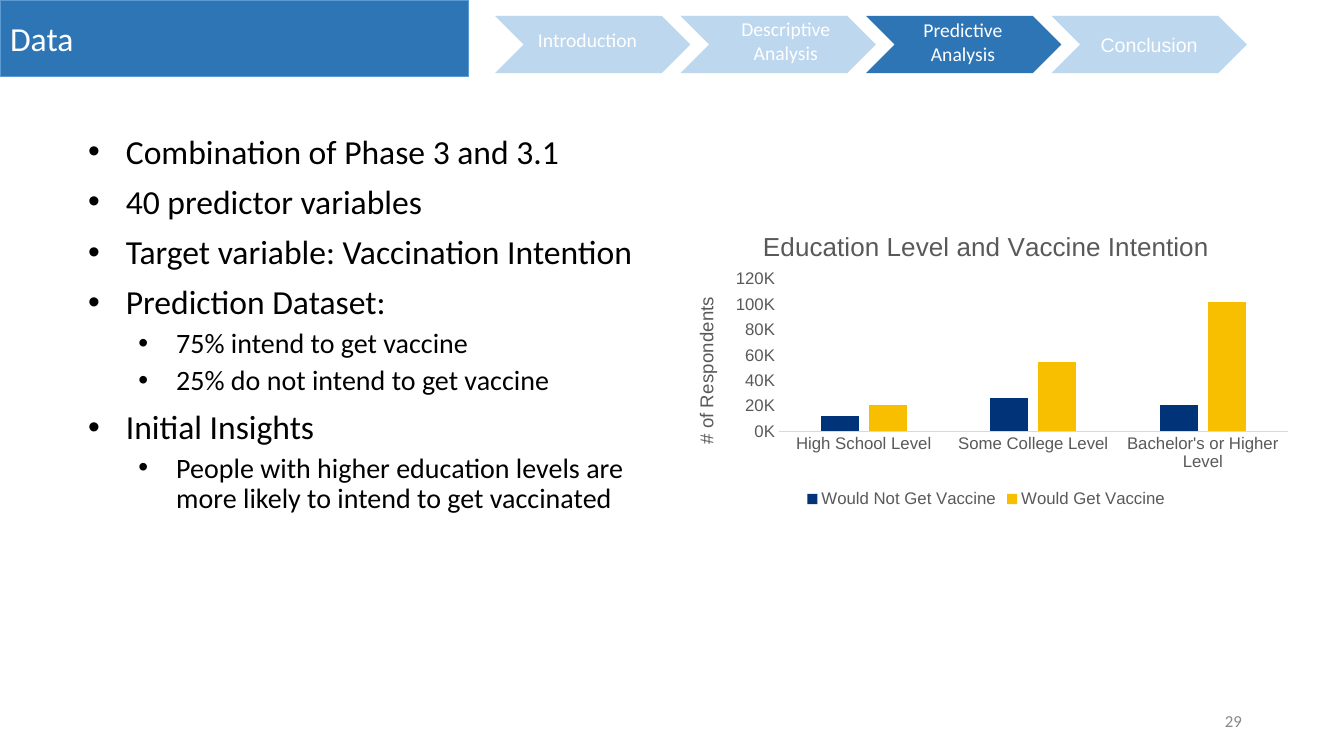
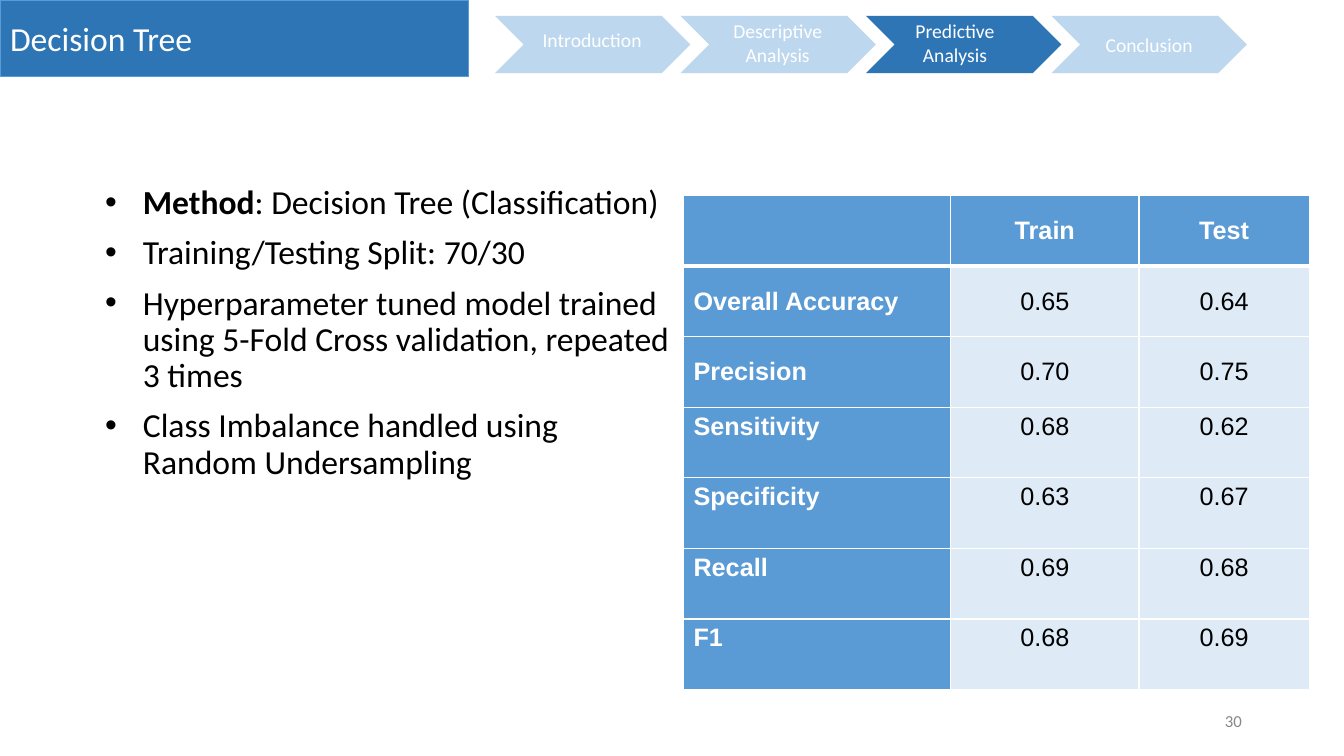
from lxml.etree import SubElement
from pptx import Presentation
from pptx.chart.data import CategoryChartData
from pptx.dml.color import RGBColor
from pptx.enum.chart import XL_CHART_TYPE, XL_LEGEND_POSITION, XL_TICK_MARK
from pptx.enum.shapes import MSO_SHAPE
from pptx.enum.text import MSO_ANCHOR, MSO_AUTO_SIZE, PP_ALIGN
from pptx.oxml import parse_xml
from pptx.oxml.ns import nsdecls, qn
from pptx.util import Pt

WHITE, BLACK, GREY, CHART_GREY, AXIS_LINE = "FFFFFF", "000000", "888888", "595959", "D9D9D9"
BAND, BAND_LINE, STEP_ACTIVE, STEP_IDLE = "2E75B5", "5B9BD5", "2E75B6", "BDD7EE"
TABLE_HEAD, TABLE_BODY = "5B9BD5", "DEEBF7"

ACTIVE_STEP = 2
STEP_LEFT, STEP_TOP, STEP_PITCH, STEP_WIDTH, STEP_HEIGHT = 353.5, 11.3, 132.5, 139.7, 41

DATA_SLIDE = {
    "title": "Data",
    "number": "29",
    "steps": [
        ("Introduction", 374, 16.6, 91.4, "Calibri"),
        ("Descriptive Analysis", 509.8, 8.6, 103, "Calibri"),
        ("Predictive Analysis", 642.2, 9.4, 91.4, "Calibri"),
        ("Conclusion", 775.2, 20, 91.4, "Arial"),
    ],
    "body_area": (46.8, 92.9, 433.4, 370.8),
    "bullets": [
        (0, ["Combination of Phase 3 and 3.1"]),
        (0, ["40 predictor variables"]),
        (0, ["Target variable: Vaccination Intention"]),
        (0, ["Prediction Dataset:"]),
        (1, ["75% intend to get vaccine"]),
        (1, ["25% do not intend to get vaccine"]),
        (0, ["Initial Insights"]),
        (1, ["People with higher education levels are more likely to intend to get vaccinated"]),
    ],
}
TREE_SLIDE = {
    "title": "Decision Tree",
    "number": "30",
    "steps": [
        ("Introduction", 377.3, 16.6, 91.4, "Calibri"),
        ("Descriptive Analysis", 502.6, 10, 105.8, "Calibri"),
        ("Predictive Analysis", 636.5, 10, 91.4, "Calibri"),
        ("Conclusion", 775.2, 20, 91.4, "Calibri"),
    ],
    "body_area": (59, 128.9, 427, 360.7),
    "bullets": [
        (0, ["Method", ": Decision Tree (Classification)"]),
        (0, ["Training/Testing Split: 70/30"]),
        (0, ["Hyperparameter tuned model trained using 5-Fold Cross validation, repeated 3 times"]),
        (0, ["Class Imbalance handled using Random Undersampling"]),
    ],
}

CHART_AREA = (480.2, 152.6, 448.6, 213.1)
PLOT_SHARE = {"x": 0.17, "y": 0.22, "w": 0.81, "h": 0.51}
CHART_TITLE = "Education Level and Vaccine Intention"
VALUE_TITLE = "# of Respondents"
EDUCATION_LEVELS = ["High School Level", "Some College Level", "Bachelor's or Higher Level"]
RESPONDENTS = [
    ("Would Not Get Vaccine", (12000, 26000, 21000), "003378"),
    ("Would Get Vaccine", (21000, 55000, 102000), "F7BF00"),
]

TABLE_LEFT, TABLE_TOP, ROW_HEIGHT = 488.2, 139.7, 50.4
COLUMN_WIDTHS = [190.8, 134.6, 121.7]
MIDDLE_ROWS = 3
METRICS = [
    ("", "Train", "Test"),
    ("Overall Accuracy", "0.65", "0.64"),
    ("Precision", "0.70", "0.75"),
    ("Sensitivity", "0.68", "0.62"),
    ("Specificity", "0.63", "0.67"),
    ("Recall", "0.69", "0.68"),
    ("F1", "0.68", "0.69"),
]


def color(value):
    return RGBColor.from_string(value)


def points(*values):
    return [Pt(value) for value in values]


def paint(shape, fill, line=None):
    shape.shadow.inherit = False
    shape.fill.solid()
    shape.fill.fore_color.rgb = color(fill)
    if line:
        shape.line.color.rgb = color(line)
        shape.line.width = Pt(0.75)
    else:
        shape.line.fill.background()


def style_font(font, size, value, name="Calibri", bold=False):
    font.size, font.name, font.bold = Pt(size), name, bold
    font.color.rgb = color(value)


def write(frame, text, size, value, name="Calibri", align=PP_ALIGN.LEFT, bold=False):
    frame.text = text
    para = frame.paragraphs[0]
    para.alignment = align
    for span in para.runs:
        style_font(span.font, size, value, name, bold)


def add_text(page, area, text, size, value, name, align, anchor=MSO_ANCHOR.TOP):
    frame = page.shapes.add_textbox(*points(*area)).text_frame
    frame.word_wrap = True
    frame.vertical_anchor = anchor
    write(frame, text, size, value, name, align)


def add_title(page, text):
    title = page.shapes.title
    title.left, title.top, title.width, title.height = points(0, 0, 334.8, 55)
    paint(title, BAND, BAND_LINE)
    frame = title.text_frame
    frame.auto_size = MSO_AUTO_SIZE.NONE
    frame.vertical_anchor = MSO_ANCHOR.MIDDLE
    write(frame, text, 24, WHITE)


def add_steps(page, steps):
    for index in range(len(steps)):
        left = STEP_LEFT + index * STEP_PITCH
        chevron = page.shapes.add_shape(
            MSO_SHAPE.CHEVRON, *points(left, STEP_TOP, STEP_WIDTH, STEP_HEIGHT))
        paint(chevron, STEP_ACTIVE if index == ACTIVE_STEP else STEP_IDLE)
    for label, left, top, width, name in steps:
        height = 24.5 if " " not in label else STEP_HEIGHT
        add_text(page, (left, top, width, height), label, 14, WHITE, name, PP_ALIGN.CENTER)


def add_bullets(page, area, bullets):
    frame = page.shapes.add_textbox(*points(*area)).text_frame
    frame.word_wrap = True
    for index, (level, spans) in enumerate(bullets):
        para = frame.paragraphs[0] if index == 0 else frame.add_paragraph()
        para.level = level
        para.line_spacing = 0.9
        para.space_before = Pt(5 if level else 10)
        for text in spans:
            span = para.add_run()
            span.text = text
            bold = len(spans) > 1 and text == spans[0]
            style_font(span.font, 20 if level else 24, BLACK, bold=bold)
        settings = para._p.get_or_add_pPr()
        settings.set("marL", str(Pt(36 * (level + 1))))
        settings.set("indent", str(Pt(-27)))
        tint = SubElement(settings, qn("a:buClr"))
        SubElement(tint, qn("a:srgbClr"), val=BLACK)
        SubElement(settings, qn("a:buFont"), typeface="Arial")
        SubElement(settings, qn("a:buChar"), char="•")


def start_page(deck, content):
    page = deck.slides.add_slide(deck.slide_layouts[5])
    add_title(page, content["title"])
    add_steps(page, content["steps"])
    add_bullets(page, content["body_area"], content["bullets"])
    add_text(page, (678.2, 500.4, 216, 28.8), content["number"], 12, GREY, "Calibri",
             PP_ALIGN.RIGHT, MSO_ANCHOR.MIDDLE)
    return page


def add_vaccine_chart(page):
    data = CategoryChartData()
    data.categories = EDUCATION_LEVELS
    for name, values, _ in RESPONDENTS:
        data.add_series(name, values)
    chart = page.shapes.add_chart(
        XL_CHART_TYPE.COLUMN_CLUSTERED, *points(*CHART_AREA), data).chart
    style_font(chart.font, 12, CHART_GREY, "Arial")
    chart.has_title = True
    write(chart.chart_title.text_frame, CHART_TITLE, 18.6, CHART_GREY, "Arial", PP_ALIGN.CENTER)
    chart.chart_title.include_in_layout = False
    chart.has_legend = True
    chart.legend.position = XL_LEGEND_POSITION.BOTTOM
    chart.legend.include_in_layout = False
    style_font(chart.legend.font, 12, CHART_GREY, "Arial")

    for axis in (chart.category_axis, chart.value_axis):
        axis.major_tick_mark = axis.minor_tick_mark = XL_TICK_MARK.NONE
        axis.has_major_gridlines = False
        style_font(axis.tick_labels.font, 12, CHART_GREY, "Arial")
    chart.category_axis.format.line.color.rgb = color(AXIS_LINE)
    chart.category_axis.format.line.width = Pt(0.75)
    scale = chart.value_axis
    scale.format.line.fill.background()
    scale.minimum_scale, scale.maximum_scale, scale.major_unit = 0, 120000, 20000
    scale.tick_labels.number_format = "#,##0,\\K"
    scale.tick_labels.number_format_is_linked = False
    scale.has_title = True
    write(scale.axis_title.text_frame, VALUE_TITLE, 13.3, CHART_GREY, "Arial", PP_ALIGN.CENTER)

    plot = chart.plots[0]
    plot.gap_width, plot.overlap, plot.vary_by_categories = 219, -27, False
    for series, (_, _, fill) in zip(plot.series, RESPONDENTS):
        series.format.fill.solid()
        series.format.fill.fore_color.rgb = color(fill)
    place_plot(chart)


def place_plot(chart):
    area = chart._chartSpace.chart.plotArea
    for old in area.findall(qn("c:layout")):
        area.remove(old)
    layout = parse_xml(f"<c:layout {nsdecls('c')}/>")
    manual = SubElement(layout, qn("c:manualLayout"))
    SubElement(manual, qn("c:layoutTarget"), val="inner")
    for side in "xy":
        SubElement(manual, qn(f"c:{side}Mode"), val="edge")
    for side, share in PLOT_SHARE.items():
        SubElement(manual, qn(f"c:{side}"), val=str(share))
    area.insert(0, layout)


def set_borders(cell, top, bottom):
    settings = cell._tc.get_or_add_tcPr()
    widths = {"L": 1, "R": 1, "T": top, "B": bottom}
    for index, (side, width) in enumerate(widths.items()):
        settings.insert(index, parse_xml(
            f'<a:ln{side} {nsdecls("a")} w="{Pt(width)}"><a:solidFill>'
            f'<a:srgbClr val="{WHITE}"/></a:solidFill></a:ln{side}>'))


def add_metrics_table(page):
    area = (TABLE_LEFT, TABLE_TOP, sum(COLUMN_WIDTHS), ROW_HEIGHT * len(METRICS))
    table = page.shapes.add_table(len(METRICS), len(COLUMN_WIDTHS), *points(*area)).table
    for column, width in zip(table.columns, COLUMN_WIDTHS):
        column.width = Pt(width)
    for row, values in enumerate(METRICS):
        table.rows[row].height = Pt(ROW_HEIGHT)
        for column, text in enumerate(values):
            cell = table.cell(row, column)
            head = row == 0 or column == 0
            cell.fill.solid()
            cell.fill.fore_color.rgb = color(TABLE_HEAD if head else TABLE_BODY)
            cell.vertical_anchor = MSO_ANCHOR.MIDDLE if row < MIDDLE_ROWS else MSO_ANCHOR.TOP
            write(cell.text_frame, text, 18, WHITE if head else BLACK, "Arial",
                  PP_ALIGN.CENTER if column else PP_ALIGN.LEFT, head)
            set_borders(cell, 3 if row == 1 else 1, 3 if row == 0 else 1)


def main():
    deck = Presentation()
    deck.slide_width, deck.slide_height = points(960, 540)
    add_vaccine_chart(start_page(deck, DATA_SLIDE))
    add_metrics_table(start_page(deck, TREE_SLIDE))
    deck.save("out.pptx")


if __name__ == "__main__":
    main()
